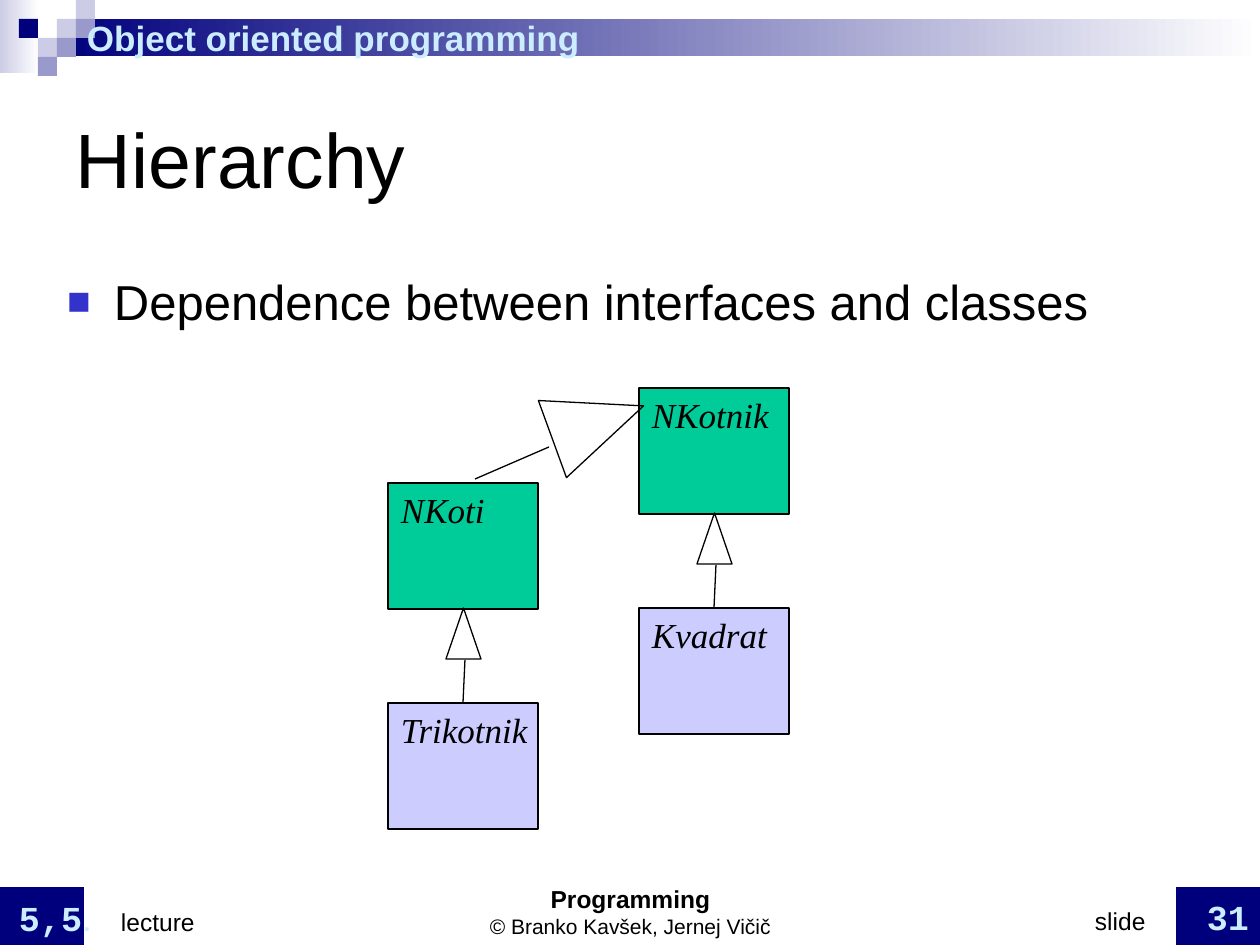
import pptx
import pptx.util
import pptx.dml.color
import pptx.enum.shapes
import pptx.enum.text
import lxml.etree
import dataclasses

Align = pptx.enum.text.PP_ALIGN
Anchor = pptx.enum.text.MSO_ANCHOR
Shape = pptx.enum.shapes.MSO_SHAPE


@dataclasses.dataclass(frozen=True)
class Theme:
    """Hold the colours, fonts and type sizes."""
    navy: str = "00007D"
    mid: str = "9999CC"
    pale: str = "CCCCE6"
    white: str = "FFFFFF"
    black: str = "000000"
    ice: str = "CCECFF"
    mark: str = "3333CC"
    green: str = "00CC99"
    lilac: str = "CCCCFF"
    sans: str = "Arial"
    mono: str = "Courier New"
    serif: str = "Times New Roman"
    title: int = 44
    body: int = 28
    label: int = 20
    foot: int = 14
    small: int = 12
    line: float = 0.75


T = Theme()


def px(n):
    """Turn pixels into EMU."""
    return round(n * 914400 / 126)


def rgb(code):
    """Give the colour for a hex code."""
    return pptx.dml.color.RGBColor.from_string(code)


def place(part, box):
    """Move a shape to a box."""
    part.left, part.top, part.width, part.height = map(px, box)


def add_run(para, text, size, color=T.black, font=T.sans, bold=False, italic=False):
    """Add one formatted run."""
    run = para.add_run()
    run.text = text
    face = run.font
    face.size, face.name = pptx.util.Pt(size), font
    face.bold, face.italic = bold, italic
    face.color.rgb = rgb(color)


def set_frame(part, anchor, pad=6, wrap=True):
    """Set up a text frame and return its first paragraph."""
    frame = part.text_frame
    frame.auto_size = pptx.enum.text.MSO_AUTO_SIZE.NONE
    frame.word_wrap, frame.vertical_anchor = wrap, anchor
    frame.margin_left = frame.margin_right = px(13)
    frame.margin_top = frame.margin_bottom = px(pad)
    para = frame.paragraphs[0]
    para.alignment = Align.LEFT
    return para


def add_node(para, tag, **attrs):
    """Append a drawing element to the paragraph properties."""
    node = pptx.oxml.ns.qn("a:" + tag)
    return lxml.etree.SubElement(para._p.get_or_add_pPr(), node, attrs)


def add_form(shapes, kind, box, fill=None, fade=None, line=None):
    """Add a preset shape with a plain, fading or empty fill."""
    form = shapes.add_shape(kind, *map(px, box))
    form.shadow.inherit = False
    if fade:
        form.fill.gradient()
        form.fill.gradient_angle = 0
        for stop, code in zip(form.fill.gradient_stops, (fill, fade)):
            stop.color.rgb = rgb(code)
        form.fill.gradient_stops[0].position = 0
        form.fill.gradient_stops[1].position = 1
    elif fill:
        form.fill.solid()
        form.fill.fore_color.rgb = rgb(fill)
    else:
        form.fill.background()
    if line:
        form.line.color.rgb = rgb(line)
        form.line.width = pptx.util.Pt(T.line)
    else:
        form.line.fill.background()
    return form


def add_header(slide, box):
    """Draw the banner, its squares and the course name."""
    x, y, w, h = box
    shapes = slide.shapes.add_group_shape().shapes
    add_form(shapes, Shape.RECTANGLE, (x, y, 39, 73), T.pale, T.white)
    add_form(shapes, Shape.RECTANGLE, (x + 57, y + 19, w - 57, 37), T.navy, T.white)
    cells = ((3, 1, T.pale), (4, 0, T.pale), (4, 1, T.mid), (2, 2, T.pale),
             (1, 1, T.navy), (3, 2, T.mid), (2, 3, T.mid))
    for col, row, fill in cells:
        add_form(shapes, Shape.RECTANGLE, (x + 19 * col, y + 19 * row, 19, 19), fill)
    text = slide.shapes.add_textbox(*map(px, (x + 74, y + 19, 932, 37)))
    para = set_frame(text, Anchor.MIDDLE, 1)
    add_run(para, "Object oriented programming", T.label, T.ice, bold=True)


def add_tabbed(slide, box, tab, runs):
    """Add a footer line whose last run starts at a tab stop."""
    text = slide.shapes.add_textbox(*map(px, box))
    para = set_frame(text, Anchor.BOTTOM)
    text.text_frame.margin_right = 0
    stops = add_node(para, "tabLst")
    lxml.etree.SubElement(stops, pptx.oxml.ns.qn("a:tab"), pos=str(px(tab)), algn="l")
    for run in runs:
        add_run(para, *run)


def add_footer(slide, box):
    """Draw the lecture number, the credit and the slide number."""
    x, y, w, h = box
    for left in (x + w - 84, x):
        add_form(slide.shapes, Shape.RECTANGLE, (left, y + 5, 84, h - 5), T.navy)
    text = slide.shapes.add_textbox(*map(px, (x + 412, y + 1, 437, h - 1)))
    para = set_frame(text, Anchor.BOTTOM)
    para.alignment = Align.CENTER
    add_run(para, "Programming", T.foot, bold=True)
    para = text.text_frame.add_paragraph()
    para.alignment = Align.CENTER
    add_run(para, "© Branko Kavšek, Jernej Vičič", T.small)
    add_tabbed(slide, (x + w - 178, y, 178, h - 1), 112, (
        ("slide", T.foot),
        ("\t31", T.label, T.ice, T.mono, True)))
    add_tabbed(slide, (x + 6, y, 270, h), 102, (
        ("5,5", T.label, T.ice, T.mono, True),
        (".", T.label, T.ice),
        ("\tlecture", T.foot)))


def add_title(slide, box):
    """Fill the title placeholder."""
    part = slide.shapes.title
    place(part, box)
    add_run(set_frame(part, Anchor.MIDDLE), "Hierarchy", T.title)


def add_body(slide, box):
    """Fill the body placeholder with its bullet."""
    part = slide.placeholders[1]
    place(part, box)
    para = set_frame(part, Anchor.TOP)
    para.space_before = pptx.util.Pt(7)
    props = para._p.get_or_add_pPr()
    props.set("marL", str(px(47)))
    props.set("indent", str(px(-47)))
    tint = add_node(para, "buClr")
    lxml.etree.SubElement(tint, pptx.oxml.ns.qn("a:srgbClr"), val=T.mark)
    add_node(para, "buSzPct", val="80000")
    add_node(para, "buFont", typeface=T.sans)
    add_node(para, "buChar", char="■")
    add_run(para, "Dependence between interfaces and classes", T.body)


def add_class(shapes, x, y, name, fill):
    """Draw one named class box."""
    form = add_form(shapes, Shape.RECTANGLE, (x, y, 150, 126), fill, line=T.black)
    para = set_frame(form, Anchor.TOP, wrap=False)
    para.space_before = pptx.util.Pt(5)
    add_run(para, name, T.label, font=T.serif, italic=True)
    return form


def add_link(shapes, start, end):
    """Draw a thin straight line."""
    kind = pptx.enum.shapes.MSO_CONNECTOR.STRAIGHT
    link = shapes.add_connector(kind, *map(px, start + end))
    link.line.color.rgb = rgb(T.black)
    link.line.width = pptx.util.Pt(T.line)
    lxml.etree.SubElement(link._element.spPr, pptx.oxml.ns.qn("a:effectLst"))
    return link


def add_pair(shapes, x, y, upper, lower):
    """Draw an interface above the class that extends it."""
    add_class(shapes, x, y, upper, T.green)
    child = add_class(shapes, x, y + 220, lower, T.lilac)
    add_form(shapes, Shape.ISOSCELES_TRIANGLE, (x + 58, y + 125, 35, 51), line=T.black)
    link = add_link(shapes, (x + 75, y + 220), (x + 77, y + 177))
    link.begin_connect(child, 0)


def add_tree(slide, box):
    """Draw the class hierarchy."""
    x, y, w, h = box
    shapes = slide.shapes.add_group_shape().shapes
    add_pair(shapes, x + w - 150, y, "NKotnik", "Kvadrat")
    head = (x + 169, y - 14, 82, 97)
    add_form(shapes, Shape.ISOSCELES_TRIANGLE, head, line=T.black).rotation = 70
    add_link(shapes, (x + 87, y + 91), (x + 161, y + 59))
    add_pair(shapes, x, y + h - 346, "NKoti", "Trikotnik")


def main():
    """Build and save the slide."""
    deck = pptx.Presentation()
    deck.slide_width, deck.slide_height = px(1260), px(945)
    slide = deck.slides.add_slide(deck.slide_layouts[1])
    add_header(slide, (0, 0, 1260, 73))
    add_footer(slide, (0, 882, 1260, 63))
    add_title(slide, (63, 82, 1134, 151))
    add_body(slide, (54, 265, 1071, 567))
    add_tree(slide, (388, 388, 401, 441))
    deck.save("out.pptx")


if __name__ == "__main__":
    main()
